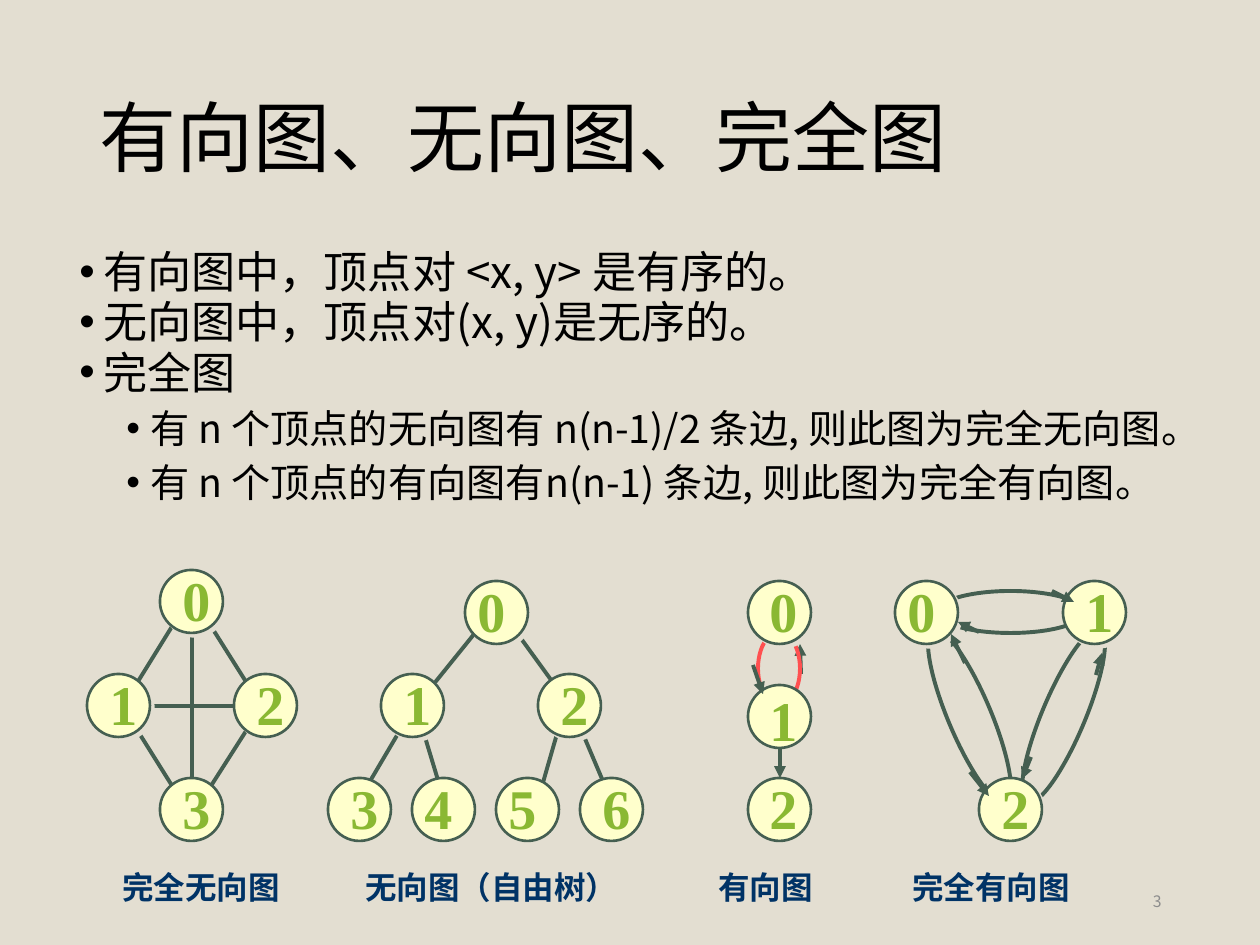
from lxml.etree import SubElement
from pptx import Presentation
from pptx.dml.color import RGBColor
from pptx.enum.shapes import MSO_CONNECTOR, MSO_SHAPE
from pptx.enum.text import MSO_ANCHOR, PP_ALIGN
from pptx.oxml.ns import qn
from pptx.util import Emu, Pt

SCALE = 914400 / 126
GREEN, RED, BEIGE = "455F51", "FF5050", "E3DED1"
SANS, SERIF = "Noto Sans CJK SC", "Times New Roman"
NODE = 63

TITLE = {"size": Pt(44), "name": SANS, "color": "000000"}
POINT = {"size": Pt(25.2), "name": SANS, "color": "000000"}
SUBPOINT = {**POINT, "size": Pt(22.4)}
NUMBER = {"size": Pt(9), "name": SANS, "color": "8C8C8C"}
LABEL = {"size": Pt(32), "name": SERIF, "color": "8AB833", "bold": True}
CAPTION = {"size": Pt(18), "name": SERIF, "color": "003366", "bold": True}

POINT_LAYOUT = {"space_before": Pt(6), "line_spacing": Pt(22.6)}
SUBPOINT_LAYOUT = {"space_before": Pt(3.8), "line_spacing": Pt(27), "level": 1}
POINTS = [
    ("有向图中，顶点对 <x, y> 是有序的。", POINT, {**POINT_LAYOUT, "space_before": Pt(0)}, 24),
    ("无向图中，顶点对(x, y)是无序的。", POINT, POINT_LAYOUT, 24),
    ("完全图", POINT, POINT_LAYOUT, 24),
    ("有 n 个顶点的无向图有 n(n-1)/2 条边, 则此图为完全无向图。", SUBPOINT, SUBPOINT_LAYOUT, 71),
    ("有 n 个顶点的有向图有n(n-1) 条边, 则此图为完全有向图。", SUBPOINT, SUBPOINT_LAYOUT, 71),
]

COMPLETE_UNDIRECTED = {
    "nodes": [("0", 73, 0, 10, -11), ("1", 0, 104, 10, -11),
              ("2", 147, 104, 10, -11), ("3", 73, 208, 10, -11)],
    "edges": [(42, 147, 94, 230), (115, 42, 168, 126), (168, 147, 115, 230),
              (94, 42, 42, 126), (52, 136, 168, 136), (105, 52, 105, 240)],
    "caption": ("完全无向图", 23),
}
FREE_TREE = {
    "nodes": [("0", 137, 11, 0, -11), ("1", 53, 104, 10, -11), ("2", 210, 104, 10, -11),
              ("3", 0, 208, 10, -11), ("4", 84, 208, 0, -11),
              ("5", 168, 208, 0, -11), ("6", 252, 208, 10, -11)],
    "edges": [(189, 63, 242, 136), (231, 157, 210, 230), (252, 157, 283, 230),
              (147, 63, 105, 115), (94, 157, 116, 230), (74, 157, 31, 230)],
    "caption": ("无向图（自由树）", 25),
}
DIRECTED = {
    "nodes": [("0", 0, 11, 9, -11), ("1", 0, 115, 9, -6), ("2", 0, 208, 9, -11)],
    "back_arrows": [(53, 104, 52, 74)],
    "arcs": [(10, 62, 42, 73, 0, RED)],
    "arrows": [(32, 178, 32, 208), (5, 95, 15, 124)],
    "caption": ("有向图", -42),
}
COMPLETE_DIRECTED = {
    "nodes": [("0", 0, 11, 0, -11), ("1", 168, 11, 10, -11), ("2", 84, 208, 10, -11)],
    "arcs": [(147, 52, 43, 188, 22.8, GREEN), (53, 52, 43, 188, -22.8, GREEN),
             (42, 21, 147, 42, 0, GREEN)],
    "arrows": [(157, 21, 179, 32), (84, 62, 63, 52), (75, 202, 94, 226),
               (70, 93, 56, 64), (136, 187, 127, 209), (201, 105, 207, 83)],
    "caption": ("完全有向图", 5),
}
GRAPHS = [(87, COMPLETE_UNDIRECTED), (328, FREE_TREE),
          (748, DIRECTED), (895, COMPLETE_DIRECTED)]


def px(*lengths):
    return [Emu(round(length * SCALE)) for length in lengths]


def paint(target, color):
    target.rgb = RGBColor.from_string(color)


def fill_solid(fill, color):
    fill.solid()
    paint(fill.fore_color, color)


def set_values(target, values):
    for attribute, value in values.items():
        setattr(target, attribute, value)


def write(paragraph, wording, style, layout):
    set_values(paragraph, layout)
    run = paragraph.add_run()
    run.text = wording
    set_values(run.font, {key: value for key, value in style.items() if key != "color"})
    paint(run.font.color, style["color"])
    SubElement(run.font._element, qn("a:ea"), typeface=SANS)


def add_frame(slide, box, frame_values):
    frame = slide.shapes.add_textbox(*px(*box)).text_frame
    set_values(frame, {"word_wrap": True, **frame_values})
    return frame


def add_text(slide, box, wording, style, layout={}, frame_values={}):
    frame = add_frame(slide, box, frame_values)
    write(frame.paragraphs[0], wording, style, layout)


def add_points(slide, box):
    frame = add_frame(slide, box, {})
    for index, (wording, style, layout, margin) in enumerate(POINTS):
        paragraph = frame.add_paragraph() if index else frame.paragraphs[0]
        properties = paragraph._p.get_or_add_pPr()
        indents = px(margin, -24)
        properties.set("marL", str(indents[0]))
        properties.set("indent", str(indents[1]))
        SubElement(properties, qn("a:buFont"), typeface="Arial")
        SubElement(properties, qn("a:buChar"), char="•")
        write(paragraph, wording, style, layout)


def add_line(slide, left, top, ends, arrow=False):
    x1, y1, x2, y2 = ends
    line = slide.shapes.add_connector(
        MSO_CONNECTOR.STRAIGHT, *px(left + x1, top + y1, left + x2, top + y2))
    paint(line.line.color, GREEN)
    line.line.width = Pt(2.25)
    if arrow:
        SubElement(line.line._get_or_add_ln(), qn("a:tailEnd"), type="triangle")
    SubElement(line._element.spPr, qn("a:effectLst"))


def add_oval(slide, box, color, width):
    oval = slide.shapes.add_shape(MSO_SHAPE.OVAL, *px(*box))
    oval.shadow.inherit = False
    oval.fill.background()
    paint(oval.line.color, color)
    oval.line.width = Pt(width)
    return oval


def add_node(slide, left, top):
    node = add_oval(slide, (left, top, NODE, NODE), GREEN, 1.5)
    fill_solid(node.fill, "FFFFCC")
    effects = node._element.spPr.find(qn("a:effectLst"))
    shadow = SubElement(effects, qn("a:outerShdw"), dist=str(Pt(2.8)), dir="2700000",
                        algn="ctr", rotWithShape="0")
    SubElement(shadow, qn("a:srgbClr"), val=BEIGE)


def add_graph(slide, left, top, graph):
    for ends in graph.get("back_arrows", []):
        add_line(slide, left, top, ends, arrow=True)
    for x, y, width, height, angle, color in graph.get("arcs", []):
        arc = add_oval(slide, (left + x, top + y, width, height), color, 2.25)
        arc.rotation = angle
    for ends in graph.get("edges", []):
        add_line(slide, left, top, ends)
    for _, x, y, _, _ in graph["nodes"]:
        add_node(slide, left + x, top + y)
    for ends in graph.get("arrows", []):
        add_line(slide, left, top, ends, arrow=True)
    for label, x, y, dx, dy in graph["nodes"]:
        add_text(slide, (left + x + dx, top + y + dy, 53, 79), label, LABEL,
                 frame_values={"word_wrap": False})
    caption, offset = graph["caption"]
    add_text(slide, (left + offset, top + 292, 280, 50), caption, CAPTION)


def main():
    deck = Presentation()
    deck.slide_width, deck.slide_height = px(1260, 945)
    slide = deck.slides.add_slide(deck.slide_layouts[6])
    fill_solid(slide.background.fill, BEIGE)
    middle = {"vertical_anchor": MSO_ANCHOR.MIDDLE}
    add_text(slide, (87, 50, 1086, 183), "有向图、无向图、完全图", TITLE,
             {"line_spacing": 0.9}, middle)
    add_points(slide, (67, 252, 1169, 333))
    for left, graph in GRAPHS:
        add_graph(slide, left, 570, graph)
    add_text(slide, (890, 876, 284, 50), "3", NUMBER, {"alignment": PP_ALIGN.RIGHT}, middle)
    deck.save("out.pptx")


if __name__ == "__main__":
    main()
